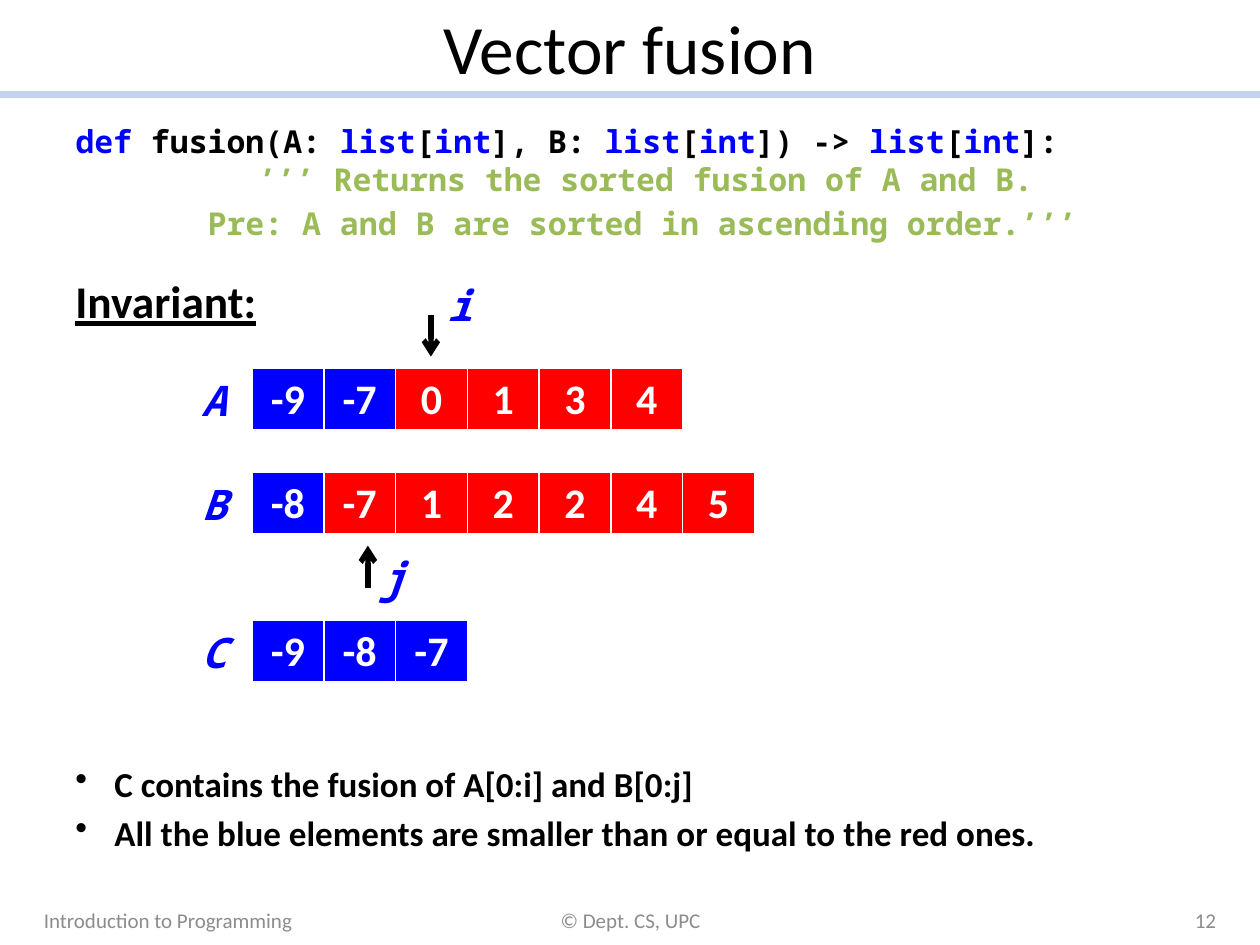
from pptx import Presentation
from pptx.dml.color import RGBColor
from pptx.enum.shapes import MSO_CONNECTOR
from pptx.enum.text import MSO_ANCHOR, PP_ALIGN
from pptx.util import Inches, Pt
from lxml.etree import SubElement
from pptx.oxml.ns import qn

BLUE, RED, GREEN = "0000FF", "FF0000", "9BBB59"
BLACK, WHITE, GREY = "000000", "FFFFFF", "8C8C8C"
MONO, SANS = "Noto Sans Mono", "Calibri"
rgb = RGBColor.from_string


def style(par, size, face, color, bold=False, italic=False):
    font = par.font
    font.size, font.name, font.bold, font.italic = Pt(size), face, bold, italic
    font.color.rgb = rgb(color)


def add_text(box, lines, size, face, color, bold=False, italic=False, wrap=True):
    frame = slide.shapes.add_textbox(*map(Inches, box)).text_frame
    frame.word_wrap = wrap
    frame.text = "\n".join(lines)
    for par in frame.paragraphs:
        style(par, size, face, color, bold, italic)
    return frame


prs = Presentation()
prs.slide_width, prs.slide_height = Inches(10), Inches(7.5)
slide = prs.slides.add_slide(prs.slide_layouts[5])

# Rule below the title, and the two index arrows
lines = [
    (0, 0.75, 10, 0.75, "C2D1ED", 4, False),
    (3.42, 2.5, 3.42, 2.83, BLACK, 3, True),
    (2.92, 4.67, 2.92, 4.33, BLACK, 3, True),
]
for x1, y1, x2, y2, color, width, arrow in lines:
    line = slide.shapes.add_connector(
        MSO_CONNECTOR.STRAIGHT, Inches(x1), Inches(y1), Inches(x2), Inches(y2))
    line.line.color.rgb = rgb(color)
    line.line.width = Pt(width)
    props = line._element.spPr
    if arrow:
        SubElement(props.find(qn("a:ln")), qn("a:tailEnd"), type="arrow")
    SubElement(props, qn("a:effectLst"))

# Title
title = slide.shapes.title
title.left, title.top = Inches(0.5), Inches(0)
title.width, title.height = Inches(9), Inches(0.75)
title.text_frame.text = "Vector fusion"
title.text_frame.vertical_anchor = MSO_ANCHOR.MIDDLE
title.text_frame.paragraphs[0].alignment = PP_ALIGN.CENTER
style(title.text_frame.paragraphs[0], 39.6, SANS, BLACK)

# Function header, with keywords in blue, and its docstring
doc = ["", "’’’ Returns the sorted fusion of A and B.",
       "Pre: A and B are sorted in ascending order.’’’"]
code = add_text((0.5, 0.92, 9, 1.2), doc, 18, MONO, GREEN, True)
head = ["def", " fusion(A: ", "list", "[", "int", "], B: ", "list", "[", "int",
        "]) -> ", "list", "[", "int", "]:"]
for part in head:
    run = code.paragraphs[0].add_run()
    run.text = part
    run.font.color.rgb = rgb(BLUE if part.isalpha() else BLACK)
for par, indent, gap in zip(code.paragraphs, (0, 1.45, 1.05), (3.6, 0, 3.6)):
    par._p.get_or_add_pPr().set("marL", str(Inches(indent)))
    par.space_before = Pt(gap)

# Invariant heading
frame = add_text((0.5, 2.17, 2.25, 0.5), ["Invariant:"], 25.9, SANS, BLACK, True)
frame.paragraphs[0].font.underline = True
frame.paragraphs[0].line_spacing = 0.9
frame.paragraphs[0].space_before = Pt(5.2)

# Vectors: name, top, values, number of blue cells
vectors = [
    ("A", 2.92, [-9, -7, 0, 1, 3, 4], 2),
    ("B", 3.75, [-8, -7, 1, 2, 2, 4, 5], 1),
    ("C", 4.92, [-9, -8, -7], 3),
]
for name, top, values, done in vectors:
    table = slide.shapes.add_table(
        1, len(values), Inches(2), Inches(top),
        Inches(0.57 * len(values)), Inches(0.5)).table
    for k, value in enumerate(values):
        table.columns[k].width = Inches(0.57)
        cell = table.cell(0, k)
        cell.text = str(value)
        par = cell.text_frame.paragraphs[0]
        par.alignment = PP_ALIGN.CENTER
        style(par, 24, SANS, WHITE, True)
        props = cell._tc.get_or_add_tcPr()
        for side, width in (("L", 1), ("R", 1), ("T", 1), ("B", 3)):
            edge = SubElement(props, qn("a:ln" + side), w=str(Pt(width)))
            fill = SubElement(edge, qn("a:solidFill"))
            SubElement(fill, qn("a:srgbClr"), val=WHITE)
        cell.fill.solid()
        cell.fill.fore_color.rgb = rgb(BLUE if k < done else RED)

# Vector names and index names
marks = [(name, 1.5, top) for name, top, *_ in vectors]
for name, left, top in marks + [("i", 3.45, 2.17), ("j", 2.92, 4.33)]:
    add_text((left, top, 0.4, 0.5), [name], 24, MONO, BLUE, True, True, wrap=False)

# Invariant bullets
facts = ["C contains the fusion of A[0:i] and B[0:j]",
         "All the blue elements are smaller than or equal to the red ones."]
for par in add_text((0.5, 6, 9, 1), facts, 20, SANS, BLACK, True).paragraphs:
    par.space_before = Pt(4)
    props = par._p.get_or_add_pPr()
    props.set("marL", str(Inches(0.31)))
    props.set("indent", str(Inches(-0.31)))
    bullet = SubElement(props, qn("a:buChar"), char="•")
    props.find(qn("a:defRPr")).addprevious(bullet)

# Footer
footer = [
    ("Introduction to Programming", 0.25, 2.33, PP_ALIGN.LEFT),
    ("© Dept. CS, UPC", 3.42, 3.17, PP_ALIGN.CENTER),
    ("12", 7.42, 2.33, PP_ALIGN.RIGHT),
]
for text, left, width, align in footer:
    frame = add_text((left, 7.1, width, 0.4), [text], 12, SANS, GREY)
    frame.vertical_anchor = MSO_ANCHOR.MIDDLE
    frame.paragraphs[0].alignment = align

prs.save("out.pptx")
